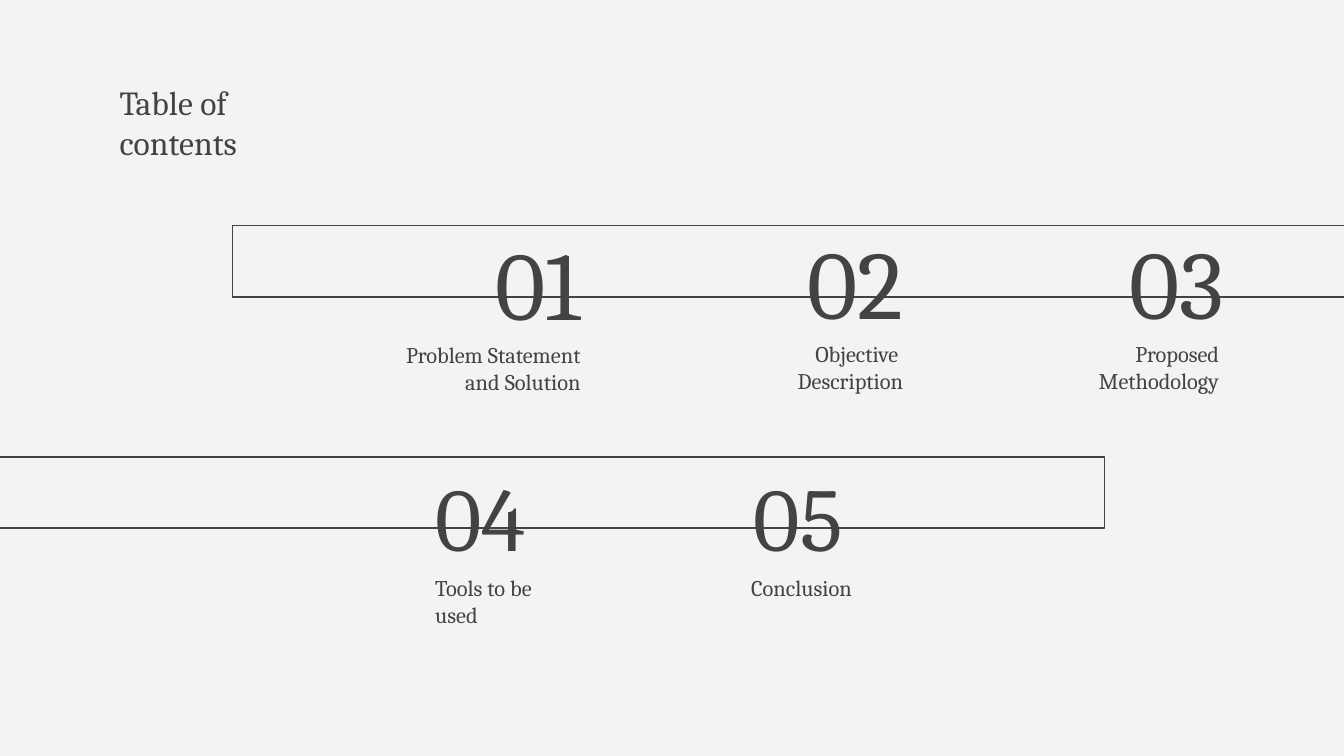
from typing import NamedTuple

from pptx import Presentation
from pptx.dml.color import RGBColor
from pptx.enum.shapes import MSO_SHAPE
from pptx.enum.text import MSO_ANCHOR, MSO_AUTO_SIZE, PP_ALIGN
from pptx.util import Inches, Pt

INK = RGBColor(0x43, 0x43, 0x43)
PAPER = RGBColor(0xF3, 0xF3, 0xF3)
FONT = "Cambria"
INSET = 0.1
BOX_H = 0.63
NUMBER_W = 1.92


class Box(NamedTuple):
    left: float
    top: float
    width: float
    height: float


class Entry(NamedTuple):
    number: str
    caption: str
    number_left: float
    number_top: float
    caption_left: float
    caption_top: float
    caption_width: float
    size: int
    align: PP_ALIGN


BARS = [Box(1.73, 1.68, 8.33, 0.53), Box(-0.11, 3.4, 8.33, 0.53)]

ENTRIES = [
    Entry("01", "Problem Statement and Solution",
          2.5, 1.78, 2.71, 2.41, 1.71, 52, PP_ALIGN.RIGHT),
    Entry("02", "Objective \vDescription",
          4.9, 1.77, 4.36, 2.4, 2.46, 52, PP_ALIGN.RIGHT),
    Entry("03", "Proposed Methodology",
          7.29, 1.77, 7.59, 2.4, 1.58, 52, PP_ALIGN.RIGHT),
    Entry("04", "Tools to be used",
          3.14, 3.52, 3.14, 4.14, 1.23, 48, PP_ALIGN.LEFT),
    Entry("05", "Conclusion",
          5.51, 3.52, 5.49, 4.14, 1.06, 48, PP_ALIGN.LEFT),
]


def place(sp, box: Box) -> None:
    for name, value in box._asdict().items():
        setattr(sp, name, Inches(value))


def add_bar(s, box: Box) -> None:
    sp = s.shapes.add_shape(MSO_SHAPE.RECTANGLE, *map(Inches, box))
    sp.shadow.inherit = False
    sp.fill.background()
    sp.line.color.rgb = INK
    sp.line.width = Pt(0.75)


def write(sp, text: str, size: int, align: PP_ALIGN, anchor: MSO_ANCHOR,
          inset_top: float = INSET) -> None:
    tf = sp.text_frame
    frame_format = {
        "word_wrap": True,
        "auto_size": MSO_AUTO_SIZE.NONE,
        "vertical_anchor": anchor,
        "margin_left": Inches(INSET),
        "margin_right": Inches(INSET),
        "margin_top": Inches(inset_top),
        "margin_bottom": Inches(INSET),
    }
    for name, value in frame_format.items():
        setattr(tf, name, value)
    tf.text = text
    p = tf.paragraphs[0]
    p.alignment = align
    for r in p.runs:
        for name, value in {"name": FONT, "size": Pt(size)}.items():
            setattr(r.font, name, value)
        r.font.color.rgb = INK


def add_text(s, box: Box, *args) -> None:
    write(s.shapes.add_textbox(*map(Inches, box)), *args)


def add_entry(s, e: Entry) -> None:
    # Captions start on a common line, whether they fill one line or two
    add_text(s, Box(e.caption_left, e.caption_top, e.caption_width, BOX_H),
             e.caption, 12, e.align, MSO_ANCHOR.TOP, 0.13)
    add_text(s, Box(e.number_left, e.number_top, NUMBER_W, BOX_H),
             e.number, e.size, e.align, MSO_ANCHOR.MIDDLE)


def main() -> None:
    # Widescreen page, 16:9
    prs = Presentation()
    prs.slide_width = Inches(10)
    prs.slide_height = Inches(10 * 9 / 16)
    s = prs.slides.add_slide(prs.slide_layouts[5])
    s.background.fill.solid()
    s.background.fill.fore_color.rgb = PAPER

    # Title
    title = s.shapes.title
    place(title, Box(0.79, 0.51, 1.92, 1.03))
    write(title, "Table of contents", 18, PP_ALIGN.LEFT, MSO_ANCHOR.TOP)

    # Bars running off the slide edges
    for bar in BARS:
        add_bar(s, bar)

    # Numbered sections
    for entry in ENTRIES:
        add_entry(s, entry)

    prs.save("out.pptx")


if __name__ == "__main__":
    main()
